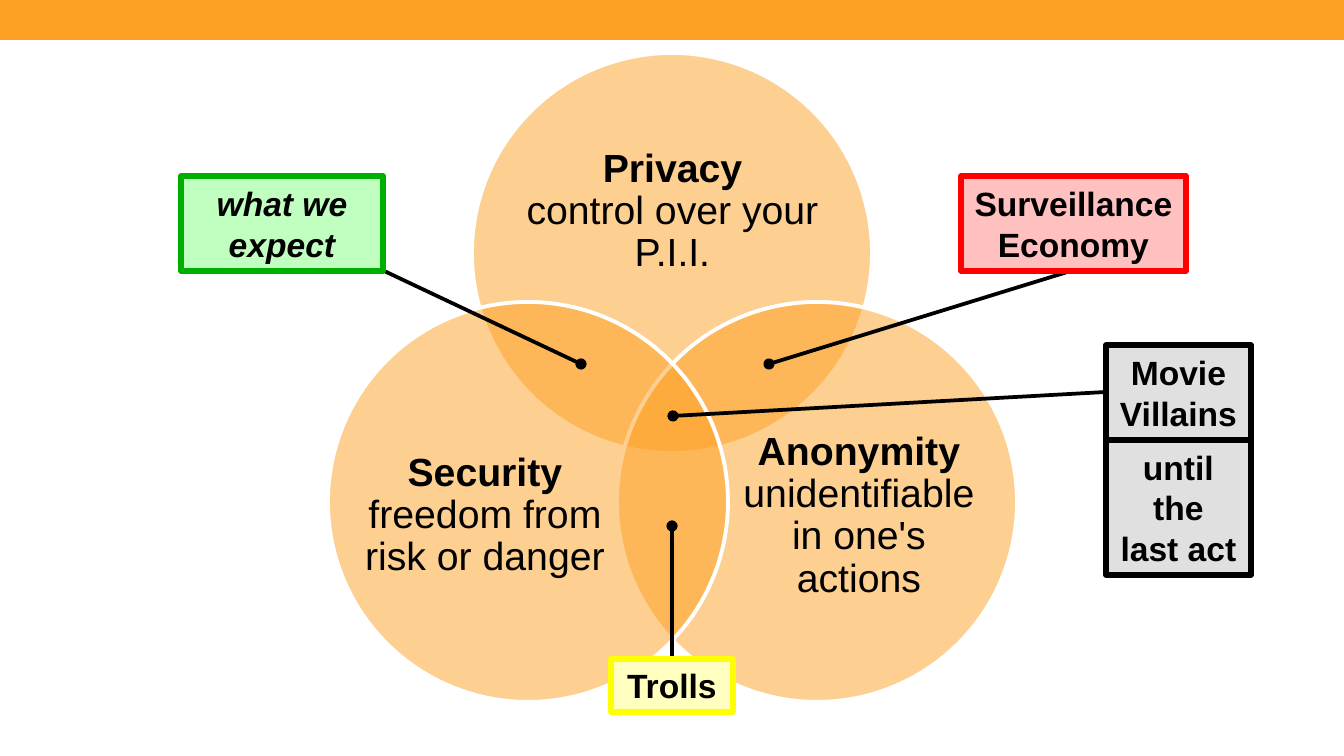
from lxml import etree
from pptx import Presentation
from pptx import util as u
from pptx.dml.color import RGBColor
from pptx.enum import shapes, text
from pptx.oxml.ns import qn

SCALE = 914400 / 134.4


def px(length):
    return u.Emu(round(length * SCALE))


def color(value):
    return RGBColor.from_string(value)


def apply(target, values):
    for name, value in values.items():
        setattr(target, name, value)


class Diagram:
    font = "Arial"
    ink = "000000"
    orange = "FDA023"
    frame = dict(word_wrap=True, vertical_anchor=text.MSO_ANCHOR.MIDDLE)
    no_insets = dict(margin_left=0, margin_right=0, margin_top=0, margin_bottom=0)

    def __init__(self, page):
        self.page = page

    def shape(self, kind, area, fill, line=None, width=0, alpha=None):
        shape = self.page.shapes.add_shape(kind, *map(px, area))
        shape.shadow.inherit = False
        shape.fill.solid()
        shape.fill.fore_color.rgb = color(fill)
        if alpha:
            tint = shape._element.spPr.find(qn("a:solidFill"))[0]
            etree.SubElement(tint, qn("a:alpha"), val=str(alpha * 1000))
        if line:
            shape.line.color.rgb = color(line)
            shape.line.width = u.Pt(width)
        else:
            shape.line.fill.background()
        return shape

    def caption(self, box, spans, size, frame, **spacing):
        apply(box.text_frame, {**self.frame, **frame})
        para = box.text_frame.paragraphs[0]
        apply(para, dict(alignment=text.PP_ALIGN.CENTER, **spacing))
        for words, style in spans:
            for index, line in enumerate(words.split("\n")):
                if index:
                    para.add_line_break()
                if line:
                    span = para.add_run()
                    span.text = line
                    apply(span.font, dict(name=self.font, size=u.Pt(size), **style))
                    span.font.color.rgb = color(self.ink)

    def circle(self, corner, area, heading, body):
        self.shape(shapes.MSO_SHAPE.OVAL, (*corner, 400, 400), self.orange, "FFFFFF", 2.08, 50)
        box = self.page.shapes.add_textbox(*map(px, area))
        spans = [(heading, dict(bold=True)), (body, dict(bold=False))]
        self.caption(box, spans, 21, self.no_insets, line_spacing=0.9, space_after=u.Pt(7.35))

    def label(self, words, area, fill, line, italic=False):
        box = self.shape(shapes.MSO_SHAPE.RECTANGLE, area, fill, line, 3)
        frame = dict(auto_size=text.MSO_AUTO_SIZE.SHAPE_TO_FIT_TEXT)
        self.caption(box, [(words, dict(bold=True, italic=italic))], 18, frame)

    def pointer(self, start, end):
        line = self.page.shapes.add_connector(
            shapes.MSO_CONNECTOR.STRAIGHT, *map(px, start + end))
        line.line.color.rgb = color(self.ink)
        line.line.width = u.Pt(2)
        outline = line._element.spPr.find(qn("a:ln"))
        etree.SubElement(outline, qn("a:tailEnd"), type="oval")
        etree.SubElement(line._element.spPr, qn("a:effectLst"))


deck = Presentation()
apply(deck, dict(slide_width=px(1344), slide_height=px(756)))
diagram = Diagram(deck.slides.add_slide(deck.slide_layouts[6]))

diagram.shape(shapes.MSO_SHAPE.RECTANGLE, (0, 0, 1344, 40), diagram.orange)

circles = [
    ((472, 53), (526, 122, 293, 180), "Privacy\n", "control over your P.I.I."),
    ((617, 302), (739, 406, 240, 220), "Anonymity", " unidentifiable in one's actions"),
    ((328, 302), (365, 406, 240, 220), "Security", " freedom from risk or danger"),
]
for circle in circles:
    diagram.circle(*circle)

pointers = [
    ((382, 270), (581, 364)),
    ((672, 660), (672, 526)),
    ((1106, 392), (673, 416)),
    ((1074, 270), (769, 364)),
]
for pointer in pointers:
    diagram.pointer(*pointer)

labels = [
    ("what we expect", (181, 176, 202, 95), "C0FFC0", "00B000", True),
    ("Trolls", (611, 659, 122, 53), "FFFFC0", "FFFF00"),
    ("Surveillance Economy", (961, 176, 225, 95), "FFC0C0", "FF0000"),
    ("until\nthe\nlast act", (1106, 440, 145, 135), "E0E0E0", "000000"),
    ("Movie Villains", (1106, 345, 145, 95), "E0E0E0", "000000"),
]
for label in labels:
    diagram.label(*label)

deck.save("out.pptx")
